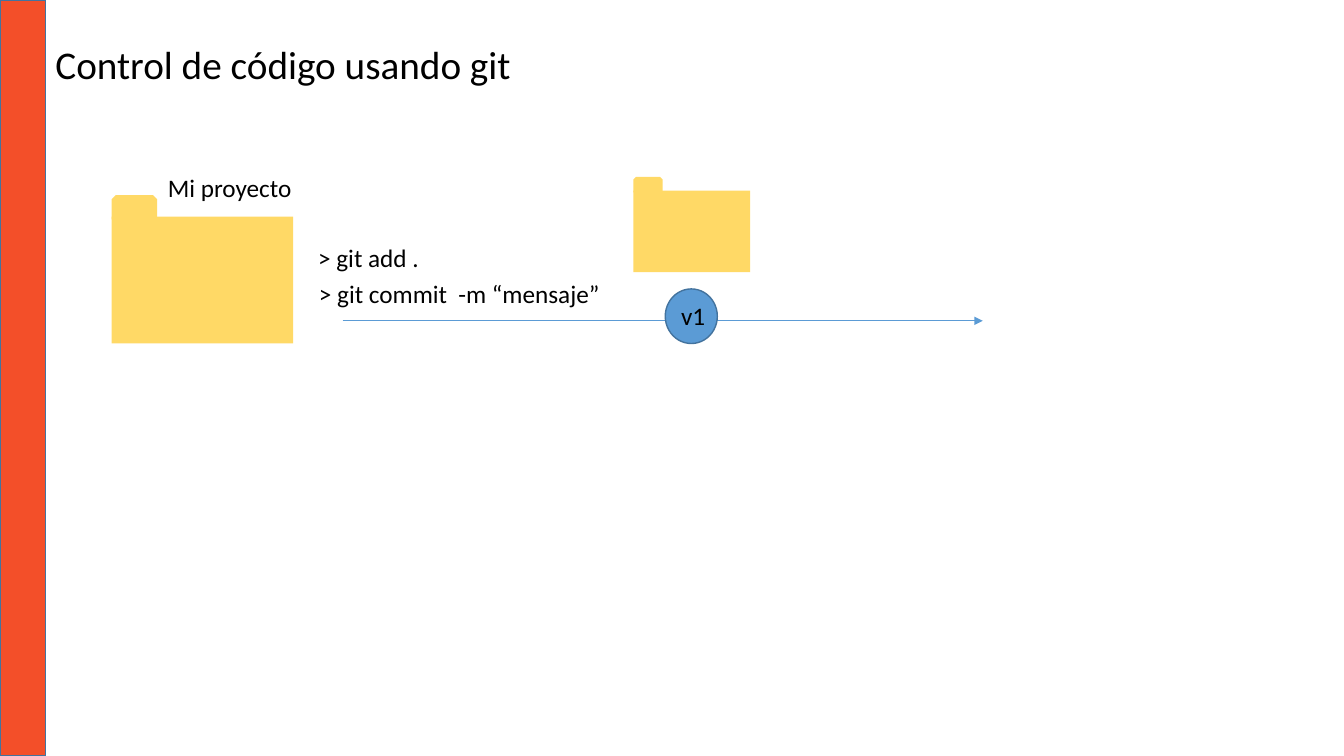
"""Build the slide on code control with git."""
from dataclasses import dataclass
from typing import Optional

from lxml import etree
from pptx import Presentation
from pptx.dml.color import RGBColor
from pptx.enum.shapes import MSO_CONNECTOR, MSO_SHAPE
from pptx.enum.text import MSO_ANCHOR, MSO_AUTO_SIZE, PP_ALIGN
from pptx.oxml.ns import qn
from pptx.shapes.autoshape import Shape
from pptx.slide import Slide
from pptx.util import Inches, Pt

RECT = MSO_SHAPE.RECTANGLE
OVAL = MSO_SHAPE.OVAL
SNIP = MSO_SHAPE.SNIP_2_SAME_RECTANGLE
STRAIGHT = MSO_CONNECTOR.STRAIGHT
TOP = MSO_ANCHOR.TOP
LEFT = PP_ALIGN.LEFT
GROW = MSO_AUTO_SIZE.SHAPE_TO_FIT_TEXT

BLACK = RGBColor(0x00, 0x00, 0x00)
BLUE = RGBColor(0x5B, 0x9B, 0xD5)
EDGE = RGBColor(0x43, 0x73, 0x9E)
GOLD = RGBColor(0xFF, 0xD9, 0x66)
RED = RGBColor(0xF3, 0x4F, 0x29)

FONT = "Calibri"
WIDTH, HEIGHT = Inches(13.33), Inches(7.5)
COLS, ROWS = 16, 9
TAB_WIDE, TAB_HIGH, TAB_RISE = 0.25, 0.19, 0.17


@dataclass(frozen=True)
class Box:
    """A place on the grid, in columns and rows."""
    col: float
    row: float
    wide: float
    high: float

    def place(self) -> tuple[int, int, int, int]:
        """Return left, top, width and height on the slide."""
        return (across(self.col), down(self.row),
                across(self.wide), down(self.high))


@dataclass(frozen=True)
class Label:
    """A line of text and its place."""
    text: str
    box: Box


TITLE = Label("Control de código usando git", Box(0.54, 0.42, 5.72, 0.68))
BAND = Box(0, 0, 0.54, ROWS)
NODE = Box(7.92, 3.44, 0.62, 0.65)
FOLDERS = (Box(7.54, 2.27, 1.39, 0.97), Box(1.33, 2.58, 2.16, 1.51))
LABELS = (
    Label("v1", Box(7.99, 3.52, 0.53, 0.48)),
    Label("Mi proyecto", Box(1.88, 1.99, 1.73, 0.48)),
    Label("> git add .", Box(3.67, 2.83, 1.45, 0.48)),
    Label("> git commit  -m “mensaje”", Box(3.68, 3.26, 3.62, 0.48)),
)


def across(cols: float) -> int:
    """Turn columns into a length."""
    return round(cols * WIDTH / COLS)


def down(rows: float) -> int:
    """Turn rows into a length."""
    return round(rows * HEIGHT / ROWS)


def write(shape: Shape, label: Label, size: int) -> None:
    """Place a shape and set its text in one line."""
    shape.left, shape.top, shape.width, shape.height = label.box.place()
    frame = shape.text_frame
    frame.text = label.text
    frame.word_wrap = False
    frame.auto_size = GROW
    frame.vertical_anchor = TOP
    line = frame.paragraphs[0]
    line.alignment = LEFT
    font = line.runs[0].font
    font.name, font.size = FONT, Pt(size)
    font.color.rgb = BLACK


def draw(slide: Slide, kind: MSO_SHAPE, box: Box, fill: RGBColor,
         edge: Optional[RGBColor] = None) -> None:
    """Draw a filled shape, with an edge if one is given."""
    shape = slide.shapes.add_shape(kind, *box.place())
    shape.shadow.inherit = False
    shape.fill.solid()
    shape.fill.fore_color.rgb = fill
    if edge is None:
        shape.line.fill.background()
    else:
        shape.line.color.rgb = edge
        shape.line.width = Pt(1)


def folder(slide: Slide, body: Box) -> None:
    """Draw a folder with a tab sized from its body."""
    tab = Box(body.col, body.row - TAB_RISE * body.high,
              TAB_WIDE * body.wide, TAB_HIGH * body.high)
    draw(slide, RECT, body, GOLD)
    draw(slide, SNIP, tab, GOLD)


def arrow(slide: Slide, start: float, end: float, row: float) -> None:
    """Draw a level arrow between two columns."""
    line = slide.shapes.add_connector(
        STRAIGHT, across(start), down(row), across(end), down(row))
    line.line.color.rgb = BLUE
    line.line.width = Pt(0.5)
    etree.SubElement(line.line._get_or_add_ln(), qn("a:tailEnd"), type="triangle")
    etree.SubElement(line._element.spPr, qn("a:effectLst"))


def main() -> None:
    """Build and save the slide."""
    deck = Presentation()
    deck.slide_width, deck.slide_height = WIDTH, HEIGHT
    slide = deck.slides.add_slide(deck.slide_layouts[5])
    write(slide.shapes.title, TITLE, 28)
    arrow(slide, 4.08, 11.7, 3.82)
    draw(slide, OVAL, NODE, BLUE, EDGE)
    for body in FOLDERS:
        folder(slide, body)
    draw(slide, RECT, BAND, RED, EDGE)
    for label in LABELS:
        write(slide.shapes.add_textbox(*label.box.place()), label, 18)
    deck.save("out.pptx")


if __name__ == "__main__":
    main()
